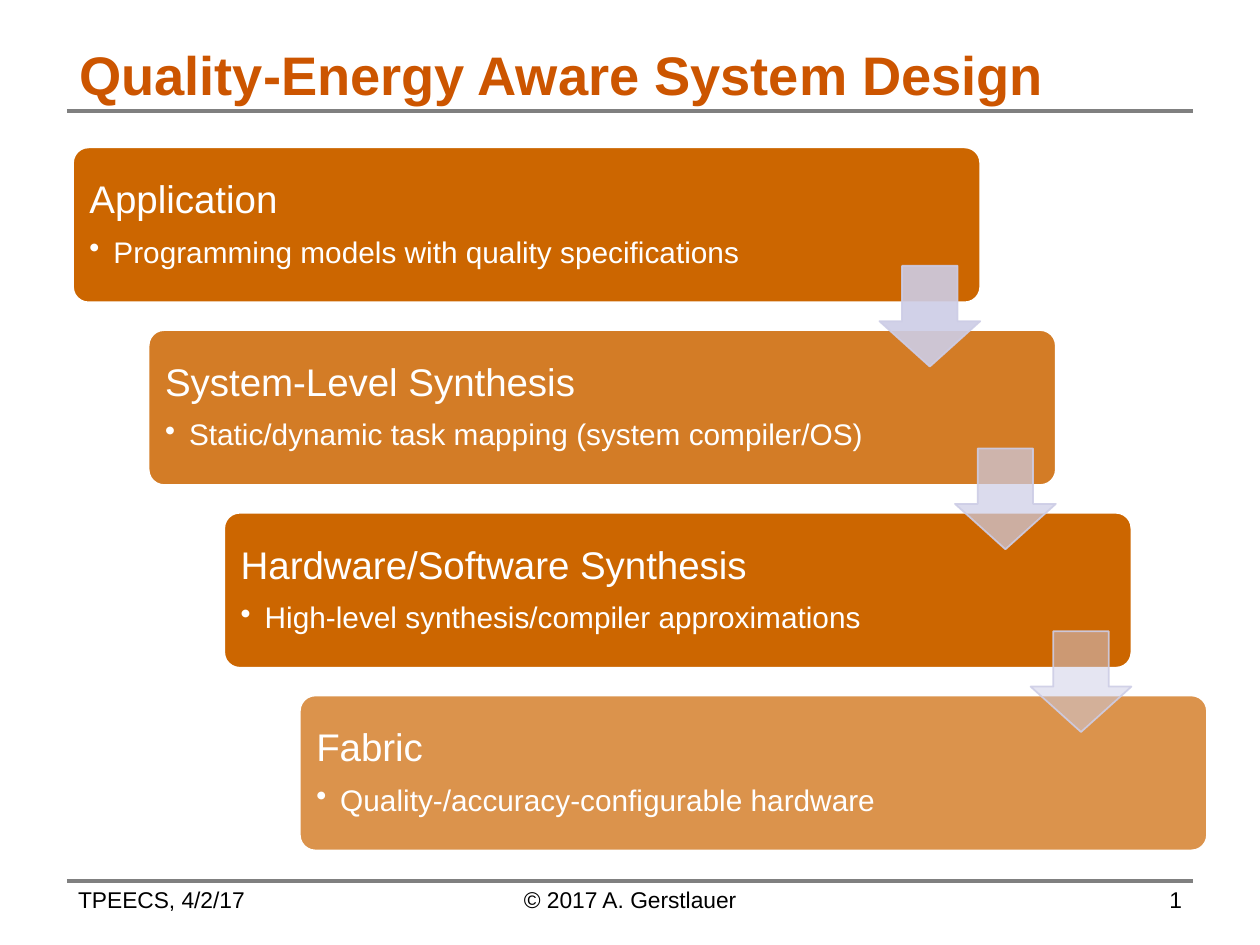
import pptx
import pptx.dml.color
import pptx.enum.shapes
import pptx.enum.text
import pptx.oxml
import pptx.oxml.ns
import pptx.util
import lxml.etree

Inches, Pt = pptx.util.Inches, pptx.util.Pt
SHAPE = pptx.enum.shapes.MSO_SHAPE
ALIGN = pptx.enum.text.PP_ALIGN
ANCHOR = pptx.enum.text.MSO_ANCHOR

# Content
TITLE = "Quality-Energy Aware System Design"
# Heading, detail, card opacity, opacity of the arrow to the next card
LAYERS = [
    ("Application", "Programming models with quality specifications", 100, 90),
    ("System-Level Synthesis", "Static/dynamic task mapping (system compiler/OS)", 85, 70),
    ("Hardware/Software Synthesis", "High-level synthesis/compiler approximations", 100, 50),
    ("Fabric", "Quality-/accuracy-configurable hardware", 70, None),
]
# Text, left, width, alignment
FOOTERS = [
    ("TPEECS, 4/2/17", 0.53, 2.35, ALIGN.LEFT),
    ("© 2017 A. Gerstlauer", 2.21, 5.58, ALIGN.CENTER),
    ("1", 7.12, 2.35, ALIGN.RIGHT),
]

# Layout
MARGIN, WIDTH, HEIGHT = 0.53, 10, 7.5
TITLE_RULE, FOOTER_RULE = 0.88, 6.99
CARD_LEFT, CARD_TOP, CARD_WIDTH, CARD_HEIGHT = 0.58, 1.17, 7.2, 1.23
STEP_X, STEP_Y = 0.6, 1.45
ARROW = 0.8
PAD = 0.04
ORANGE, LAVENDER, WHITE = "CC6600", "CDCDE6", "FFFFFF"


def rgb(value):
    return pptx.dml.color.RGBColor.from_string(value)


def set_opacity(fill_owner, percent):
    color = fill_owner.find(".//" + pptx.oxml.ns.qn("a:srgbClr"))
    alpha = lxml.etree.SubElement(color, pptx.oxml.ns.qn("a:alpha"))
    alpha.set("val", str(percent * 1000))


def format_text(para, size, color, bold=False):
    for span in para.runs:
        span.font.name = "Arial"
        span.font.size = Pt(size)
        span.font.bold = bold
        span.font.color.rgb = rgb(color)


def set_insets(frame, across, down):
    frame.word_wrap = True
    frame.margin_left = frame.margin_right = Inches(across)
    frame.margin_top = frame.margin_bottom = Inches(down)


def add_box(slide, left, top, width, height, inset):
    box = slide.shapes.add_textbox(*map(Inches, (left, top, width, height)))
    set_insets(box.text_frame, 0.09, inset)
    return box.text_frame


def add_rule(slide, y):
    rule = slide.shapes.add_connector(
        pptx.enum.shapes.MSO_CONNECTOR.STRAIGHT,
        Inches(MARGIN), Inches(y), Inches(WIDTH - MARGIN), Inches(y))
    rule.line.color.rgb = rgb("808080")
    rule.line.width = Pt(2.25)
    lxml.etree.SubElement(rule.element.spPr, pptx.oxml.ns.qn("a:effectLst"))


def add_block(slide, kind, bounds, adjustments, fill, line, opacity):
    block = slide.shapes.add_shape(kind, *map(Inches, bounds))
    block.shadow.inherit = False
    for index, value in enumerate(adjustments):
        block.adjustments[index] = value
    block.fill.solid()
    block.fill.fore_color.rgb = rgb(fill)
    block.line.color.rgb = rgb(line)
    block.line.width = Pt(1)
    if opacity < 100:
        set_opacity(block.element.spPr.find(pptx.oxml.ns.qn("a:solidFill")).getparent(), opacity)
    return block


def add_bullet(para):
    properties = para._p.get_or_add_pPr()
    properties.set("marL", str(Inches(0.19)))
    properties.set("indent", str(-Inches(0.19)))
    bullet = lxml.etree.SubElement(properties, pptx.oxml.ns.qn("a:buChar"))
    bullet.set("char", "•")


def add_card(slide, left, top, heading, detail, opacity):
    add_block(slide, SHAPE.ROUNDED_RECTANGLE, (left, top, CARD_WIDTH, CARD_HEIGHT),
              [0.1], ORANGE, WHITE, opacity)
    frame = add_box(slide, left + PAD, top + PAD, 5.75, CARD_HEIGHT - 2 * PAD, 0.09)
    frame.vertical_anchor = ANCHOR.MIDDLE
    frame.text = heading + "\n" + detail
    for para, size, gap in zip(frame.paragraphs, (22, 17), (8.8, 2.9)):
        para.line_spacing = 0.9
        para.space_after = Pt(gap)
        format_text(para, size, WHITE)
    frame.paragraphs[1].level = 1
    add_bullet(frame.paragraphs[1])


def main():
    deck = pptx.Presentation()
    deck.slide_width, deck.slide_height = Inches(WIDTH), Inches(HEIGHT)
    slide = deck.slides.add_slide(deck.slide_layouts[5])

    # Title and rules
    title = slide.shapes.title
    title.left, title.top = Inches(MARGIN), Inches(0.29)
    title.width, title.height = Inches(WIDTH - 2 * MARGIN), Inches(0.59)
    frame = title.text_frame
    frame.text = TITLE
    set_insets(frame, 0.1, 0.05)
    frame.auto_size = pptx.enum.text.MSO_AUTO_SIZE.NONE
    frame.vertical_anchor = ANCHOR.MIDDLE
    frame.paragraphs[0].alignment = ALIGN.LEFT
    format_text(frame.paragraphs[0], 31, "CC5500", bold=True)
    for y in (TITLE_RULE, FOOTER_RULE):
        add_rule(slide, y)

    # Staircase of cards
    corners = [(CARD_LEFT + i * STEP_X, CARD_TOP + i * STEP_Y) for i in range(len(LAYERS))]
    for (left, top), (heading, detail, opacity, _) in zip(corners, LAYERS):
        add_card(slide, left, top, heading, detail, opacity)

    # Arrows at each card's right edge, centred on the gap below it
    drop = (CARD_HEIGHT + STEP_Y - ARROW) / 2
    for (left, top), layer in zip(corners[:-1], LAYERS):
        bounds = (left + CARD_WIDTH - ARROW, top + drop, ARROW, ARROW)
        arrow = add_block(slide, SHAPE.DOWN_ARROW, bounds, [0.55, 0.45],
                          LAVENDER, LAVENDER, layer[3])
        set_opacity(arrow.element.spPr.find(pptx.oxml.ns.qn("a:ln")), 90)

    # Footer
    for text, left, width, alignment in FOOTERS:
        frame = add_box(slide, left, FOOTER_RULE, width, 0.46, 0.04)
        frame.text = text
        frame.paragraphs[0].alignment = alignment
        format_text(frame.paragraphs[0], 13, "000000")

    deck.save("out.pptx")


if __name__ == "__main__":
    main()
